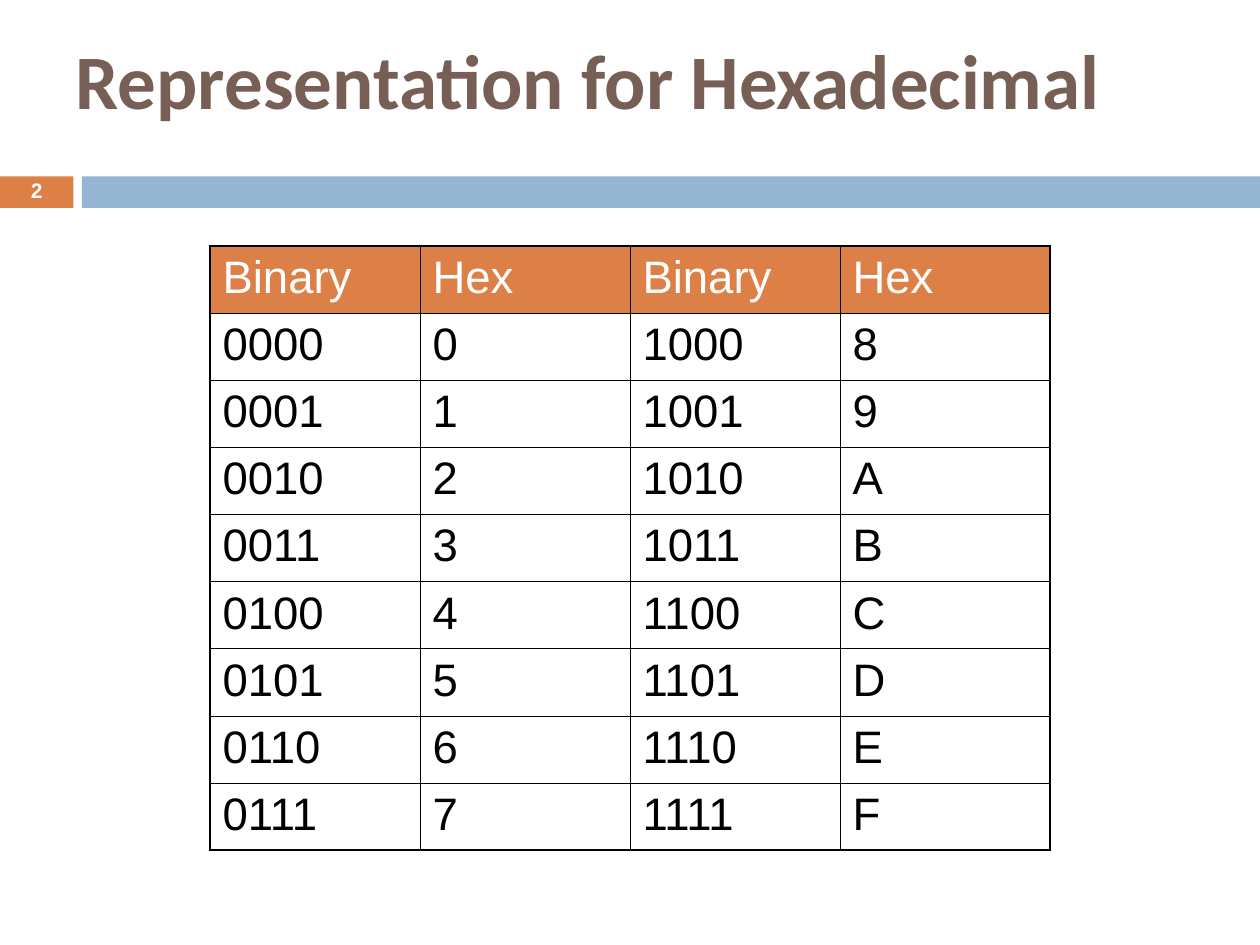
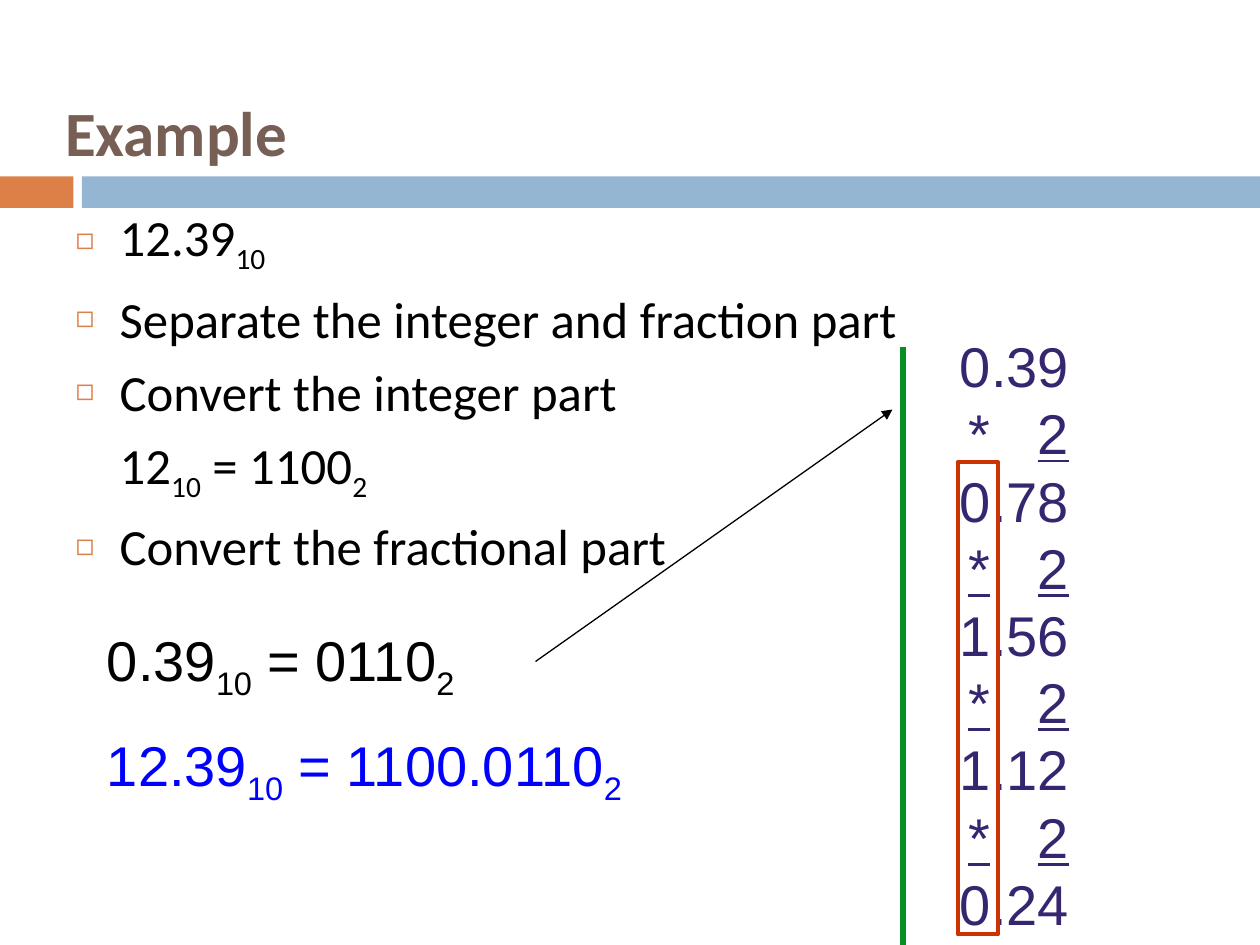
from collections import namedtuple

from lxml import etree
from pptx import Presentation
from pptx.dml.color import RGBColor
from pptx.enum.shapes import MSO_CONNECTOR, MSO_SHAPE
from pptx.enum.text import MSO_ANCHOR, MSO_AUTO_SIZE, PP_ALIGN
from pptx.oxml.ns import qn
from pptx.util import Inches, Pt

RECTANGLE = MSO_SHAPE.RECTANGLE
STRAIGHT = MSO_CONNECTOR.STRAIGHT
MIDDLE, TOP = MSO_ANCHOR.MIDDLE, MSO_ANCHOR.TOP
LEFT, CENTER = PP_ALIGN.LEFT, PP_ALIGN.CENTER
NO_AUTOFIT = MSO_AUTO_SIZE.NONE

ORANGE = RGBColor(0xDD, 0x80, 0x47)
BAND_BLUE = RGBColor(0x94, 0xB6, 0xD2)
BROWN = RGBColor(0x77, 0x5F, 0x55)
WHITE = RGBColor(0xFF, 0xFF, 0xFF)
BLACK = RGBColor(0x00, 0x00, 0x00)
PURPLE = RGBColor(0x36, 0x26, 0x70)
RED = RGBColor(0xCC, 0x33, 0x00)
GREEN = RGBColor(0x06, 0x90, 0x24)
BLUE = RGBColor(0x00, 0x00, 0xFF)

HEADING_FONT, TEXT_FONT = "Calibri", "Arial"
COLUMNS, ROWS = 120, 90
UNIT = Inches(10) // COLUMNS
TITLE_AND_CONTENT, TITLE_ONLY = 1, 5


class Box(namedtuple("Box", "left top width height")):
    def inside(self, left, top, width, height):
        return Box(self.left + left, self.top + top, width, height)

    def lengths(self):
        return [round(value * UNIT) for value in self]


BAND = Box(0, 16.8, COLUMNS, 3)


def write(paragraph, text, size, color, font=TEXT_FONT, bold=False,
          underline=False, align=LEFT, before=0):
    paragraph.alignment = align
    paragraph.space_before = Pt(before)
    for index, piece in enumerate(text.split("_")):
        if not piece:
            continue
        run = paragraph.add_run()
        run.text = piece
        run.font.name = font
        run.font.size = Pt(size)
        run.font.bold = bold
        run.font.underline = underline
        run.font.color.rgb = color
        if index % 2:
            run.font._element.set("baseline", "-25000")


def place(shape, box):
    shape.left, shape.top, shape.width, shape.height = box.lengths()


def prepare_frame(shape, anchor=TOP):
    frame = shape.text_frame
    frame.word_wrap = True
    frame.auto_size = NO_AUTOFIT
    frame.vertical_anchor = anchor
    return frame


def paragraphs_for(frame, items):
    for index, item in enumerate(items):
        yield frame.add_paragraph() if index else frame.paragraphs[0], item


def add_rectangle(slide, box, fill=None, line=None, weight=0):
    shape = slide.shapes.add_shape(RECTANGLE, *box.lengths())
    shape.shadow.inherit = False
    if fill is None:
        shape.fill.background()
    else:
        shape.fill.solid()
        shape.fill.fore_color.rgb = fill
    if line is None:
        shape.line.fill.background()
    else:
        shape.line.color.rgb = line
        shape.line.width = Pt(weight)
    return shape


def add_line(slide, box, color, weight, arrow=False):
    left, top, width, height = box.lengths()
    line = slide.shapes.add_connector(
        STRAIGHT, left, top, left + width, top + height)
    line.line.color.rgb = color
    line.line.width = Pt(weight)
    if arrow:
        etree.SubElement(line.line._get_or_add_ln(), qn("a:tailEnd"), type="triangle")
    etree.SubElement(line._element.spPr, qn("a:effectLst"))


def add_band(slide, box, number):
    tab = add_rectangle(slide, box.inside(0, 0, 7, box.height), fill=ORANGE)
    add_rectangle(slide, box.inside(7.8, 0, box.width - 7.8, box.height), fill=BAND_BLUE)
    if number:
        frame = prepare_frame(tab, MIDDLE)
        paragraph = frame.paragraphs[0]
        paragraph.line_spacing = 0.8
        write(paragraph, number, 12, WHITE, bold=True, align=CENTER)


def start_slide(presentation, layout, title, box, size, number=""):
    slide = presentation.slides.add_slide(presentation.slide_layouts[layout])
    add_band(slide, BAND, number)
    place(slide.shapes.title, box)
    frame = prepare_frame(slide.shapes.title, MIDDLE)
    write(frame.paragraphs[0], title, size, BROWN, HEADING_FONT, bold=True)
    return slide


def set_borders(cell, edges):
    for side, weight in edges.items():
        line = etree.SubElement(
            cell._tc.get_or_add_tcPr(), qn(f"a:ln{side}"), w=str(Pt(weight)))
        fill = etree.SubElement(line, qn("a:solidFill"))
        etree.SubElement(fill, qn("a:srgbClr"), val=str(BLACK))


def add_hex_table(slide, box):
    digits = 8
    rows = [["Binary", "Hex"] * 2]
    rows += [[f"{low:04b}", f"{low:X}", f"{low + digits:04b}", f"{low + digits:X}"]
             for low in range(digits)]
    last_row, last_column = len(rows) - 1, len(rows[0]) - 1
    table = slide.shapes.add_table(len(rows), len(rows[0]), *box.lengths()).table
    table.first_row = table.horz_banding = False
    for row_index, row in enumerate(rows):
        for column_index, text in enumerate(row):
            cell = table.cell(row_index, column_index)
            at_edge = {"L": column_index == 0, "R": column_index == last_column,
                       "T": row_index == 0, "B": row_index == last_row}
            set_borders(cell, {side: 1.08 if outer else 0.45
                               for side, outer in at_edge.items()})
            if row_index:
                cell.fill.background()
            else:
                cell.fill.solid()
                cell.fill.fore_color.rgb = ORANGE
            write(cell.text_frame.paragraphs[0], text, 26,
                  BLACK if row_index else WHITE, before=6.5)


def set_bullet(paragraph, shown):
    properties = paragraph._p.get_or_add_pPr()
    properties.set("marL", str(Inches(0.35)))
    properties.set("indent", str(Inches(-0.35) if shown else 0))
    if not shown:
        etree.SubElement(properties, qn("a:buNone"))
        return
    color = etree.SubElement(properties, qn("a:buClr"))
    etree.SubElement(color, qn("a:srgbClr"), val=str(ORANGE))
    etree.SubElement(properties, qn("a:buSzPct"), val="60000")
    etree.SubElement(properties, qn("a:buChar"), char="◻")


def add_steps(slide, box):
    body = slide.placeholders[1]
    place(body, box)
    steps = [("12.39_10_", True), ("Separate the integer and fraction part", True),
             ("Convert the integer part", True), ("12_10_ = 1100_2_", False),
             ("Convert the fractional part", True)]
    for paragraph, (text, bulleted) in paragraphs_for(prepare_frame(body), steps):
        write(paragraph, text, 29, BLACK, HEADING_FONT, before=7)
        set_bullet(paragraph, bulleted)


def add_text_box(slide, box):
    return prepare_frame(slide.shapes.add_textbox(*box.lengths()))


def set_tabs(paragraph, stops):
    tabs = etree.SubElement(paragraph._p.get_or_add_pPr(), qn("a:tabLst"))
    for position, align in stops:
        etree.SubElement(tabs, qn("a:tab"), pos=str(Inches(position)), algn=align)


def add_multiplication(slide, box):
    frame = add_text_box(slide, box)
    frame.margin_right = 0
    right_stop = (1.72, "r")
    values = ["0.39", "0.78", "1.56", "1.12", "0.24"]
    lines = [line for value in values for line in (value, "*\t2")][:-1]
    for paragraph, text in paragraphs_for(frame, lines):
        is_factor = "*" in text
        write(paragraph, "\t", 32, PURPLE)
        write(paragraph, text, 32, PURPLE, underline=is_factor)
        set_tabs(paragraph, [(0.92, "l"), right_stop] if is_factor else [right_stop])
    add_rectangle(slide, box.inside(11.2, 13, 3.84, 45), line=RED, weight=2.25)
    add_line(slide, box.inside(6, 2, 0, ROWS - box.top - 2), GREEN, 3)


def add_results(slide, box):
    results = [("0.39_10_ = 0110_2_", BLACK), ("12.39_10_ = 1100.0110_2_", BLUE)]
    for paragraph, (text, color) in paragraphs_for(add_text_box(slide, box), results):
        write(paragraph, text, 32, color, before=16)


def build_hex_slide(presentation):
    slide = start_slide(presentation, TITLE_ONLY, "Representation for Hexadecimal",
                        Box(6, 3, 102, 9), 44, number="2")
    add_hex_table(slide, Box(20, 23.4, 80, 57.6))


def build_example_slide(presentation):
    slide = start_slide(presentation, TITLE_AND_CONTENT, "Example",
                        Box(5, 8, 102, 9), 36)
    add_steps(slide, Box(6, 19, 102, 54))
    add_multiplication(slide, Box(80, 31, 23, 58.8))
    add_line(slide, Box(51, 63, 34, -24), BLACK, 0.75, arrow=True)
    add_results(slide, Box(9, 59, 74, 28.4))


def main():
    presentation = Presentation()
    presentation.slide_width = COLUMNS * UNIT
    presentation.slide_height = ROWS * UNIT
    build_hex_slide(presentation)
    build_example_slide(presentation)
    presentation.save("out.pptx")


if __name__ == "__main__":
    main()
